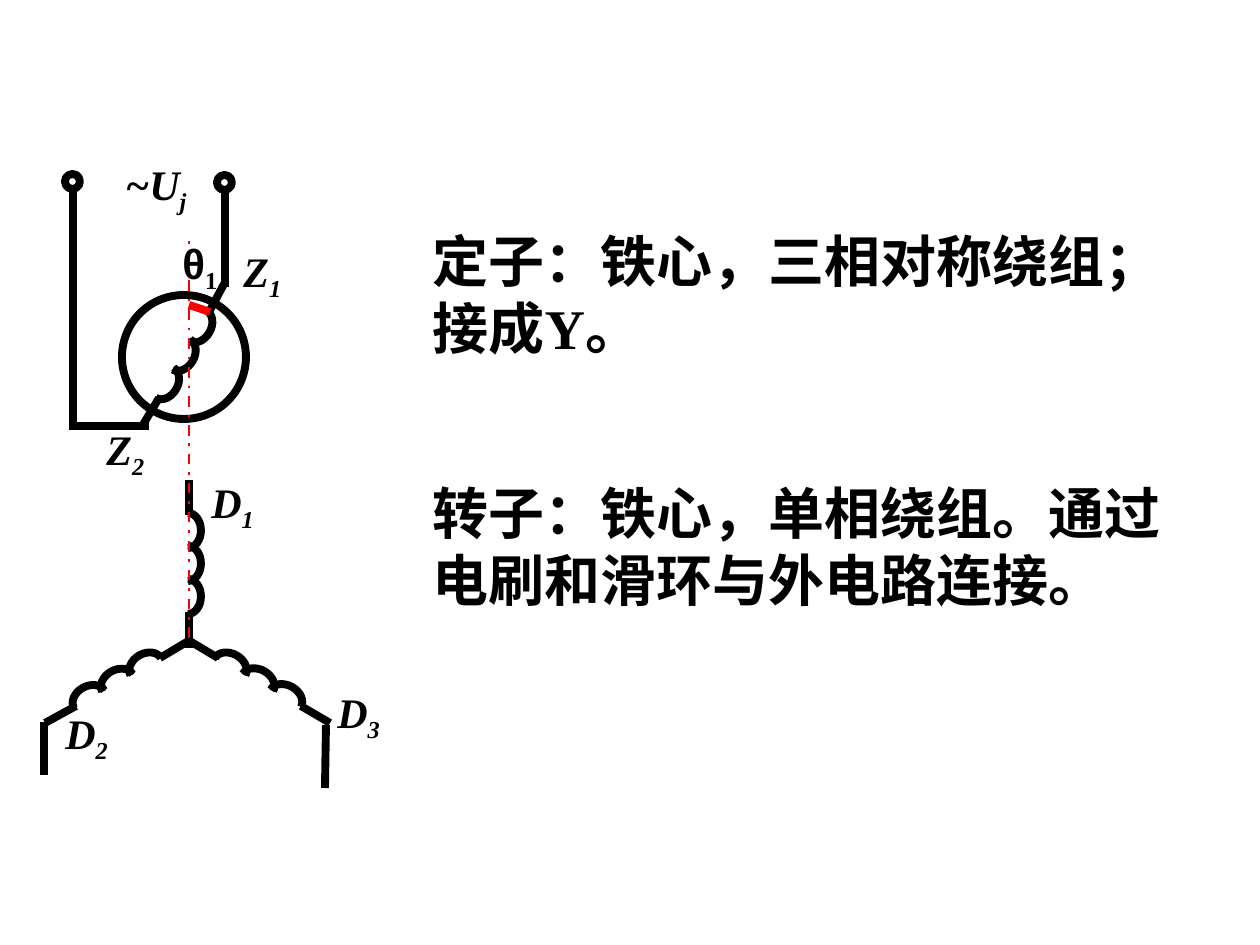
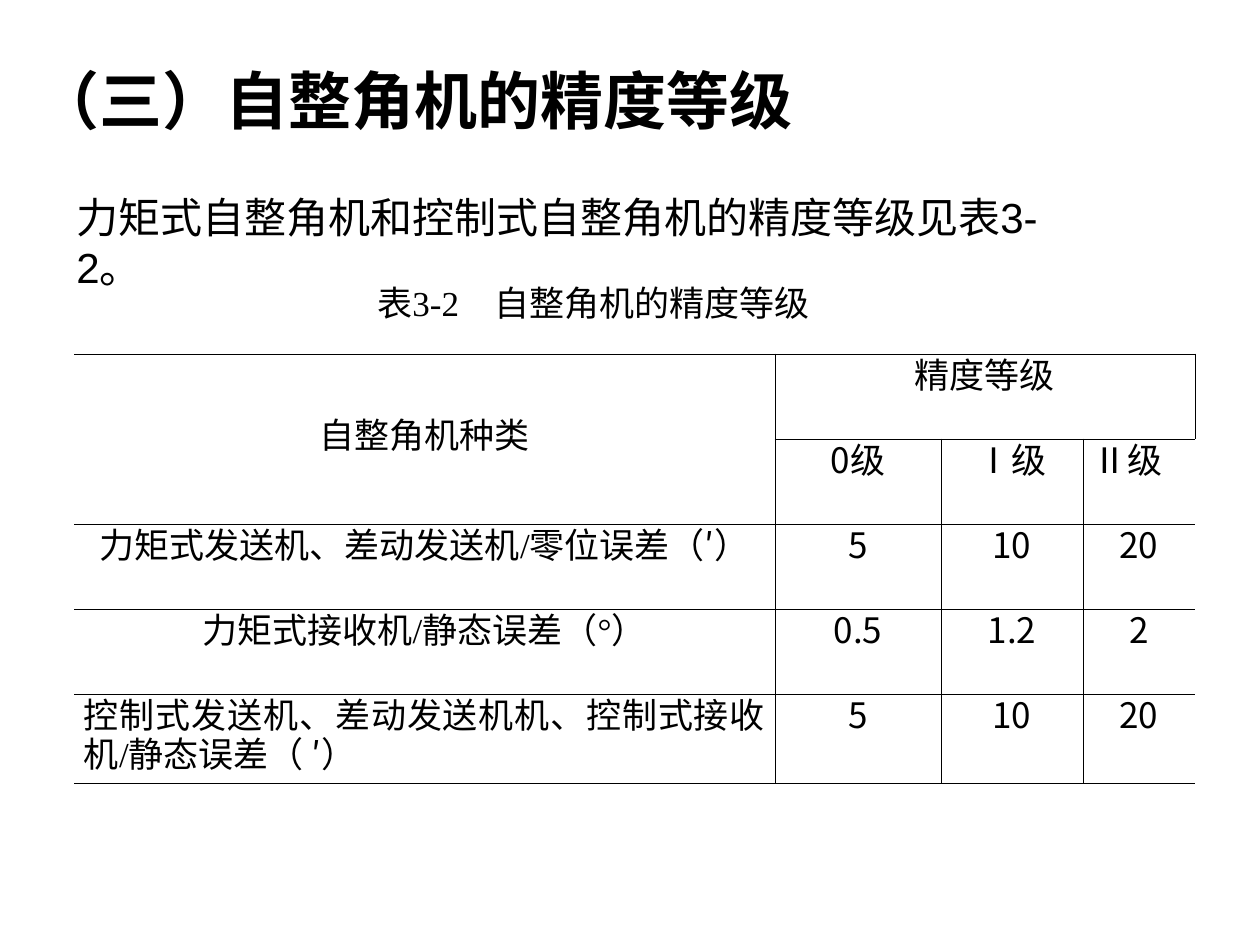
from math import cos, hypot, pi, sin

from lxml import etree
from pptx import Presentation
from pptx.dml.color import RGBColor
from pptx.enum.dml import MSO_LINE
from pptx.enum.shapes import MSO_CONNECTOR, MSO_SHAPE
from pptx.enum.text import MSO_ANCHOR, PP_ALIGN
from pptx.oxml.ns import qn
from pptx.util import Emu, Pt

STRAIGHT, OVAL = MSO_CONNECTOR.STRAIGHT, MSO_SHAPE.OVAL
DASH_DOT = MSO_LINE.DASH_DOT
LEFT, CENTER, JUSTIFY = PP_ALIGN.LEFT, PP_ALIGN.CENTER, PP_ALIGN.JUSTIFY
TOP, MIDDLE = MSO_ANCHOR.TOP, MSO_ANCHOR.MIDDLE

PX_PER_INCH = 126
COLORS = {"ink": "000000", "accent": "FF0000"}
SERIF, SANS, CJK = "Times New Roman", "Arial", "Noto Sans CJK SC"
WIRE_PT, AXIS_PT, RULE_PT = 4.5, 1.5, 0.45

# Windings and wires: x1, y1, x2, y2
COILS = [
    (74, 708, 161, 658),
    (215, 658, 301, 707),
    (188, 513, 188, 614),
    (207, 311, 156, 398),
]
TURNS, TURN_LENGTH, TURN_HEIGHT = 3, 35, 13
WIRES = [
    (45, 723, 76, 706), (160, 658, 190, 640),
    (301, 706, 330, 723), (188, 640, 218, 658),
    (189, 480, 189, 515), (189, 612, 189, 648),
    (326, 725, 325, 788), (44, 722, 44, 775),
    (224, 284, 208, 314), (159, 398, 141, 428),
    (225, 287, 225, 193), (149, 426, 76, 426), (73, 430, 73, 192),
]
AXIS = (189, 638, 189, 239)
ANGLE_MARK = (189, 305, 210, 312)
# Rotor and the two supply terminals: left, top, diameter
RINGS = [(122, 295, 124), (217, 175, 15), (65, 174, 15)]

# Symbol, subscript, left, top
WINDING_LABELS = [
    ("~U", "j", 113, 152),
    ("Z", "1", 231, 239),
    ("Z", "2", 94, 417),
    ("D", "1", 199, 470),
    ("D", "2", 53, 701),
    ("D", "3", 325, 680),
]
PARTS = [
    ("定子：铁心，三相对称绕组；接成Y。", 220),
    ("转子：铁心，单相绕组。通过电刷和滑环与外电路连接。", 472),
]

TITLE = "（三）自整角机的精度等级"
INTRO = "力矩式自整角机和控制式自整角机的精度等级见表3-2。"
CAPTION = "表3-2\t自整角机的精度等级"
CAPTION_TAB = 117
KIND_HEADING, GRADE_HEADING = "自整角机种类", "精度等级"
GRADES = ["0级", "Ⅰ级", "Ⅱ级"]
ERRORS = [
    ("力矩式发送机、差动发送机/零位误差（′）", "5", "10", "20"),
    ("力矩式接收机/静态误差（°）", "0.5", "1.2", "2"),
    ("控制式发送机、差动发送机机、控制式接收机/静态误差（ ′）", "5", "10", "20"),
]
COLUMN_WIDTHS = [701, 166, 142, 112]
ROW_HEIGHT = 85


def px(length):
    return Emu(round(length * 914400 / PX_PER_INCH))


def color(name):
    return RGBColor.from_string(COLORS[name])


def write(frame, text, size, font=SERIF, bold=False, italic=False, sub="",
          sub_font=None, align=LEFT, spacing=None, tab=None):
    """Fill a text frame with one paragraph and an optional subscript."""
    paragraph = frame.paragraphs[0]
    paragraph.alignment = align
    if spacing:
        paragraph.line_spacing = Pt(spacing)
    if tab:
        stops = etree.SubElement(paragraph._p.get_or_add_pPr(), qn("a:tabLst"))
        etree.SubElement(stops, qn("a:tab"), pos=str(px(tab)), algn="l")
    for part, face in ((text, font), (sub, sub_font or font)):
        if not part:
            continue
        run = paragraph.add_run()
        run.text = part
        run.font.size, run.font.name = Pt(size), face
        run.font.bold, run.font.italic = bold, italic
        run.font.color.rgb = color("ink")
        properties = run._r.get_or_add_rPr()
        etree.SubElement(properties, qn("a:ea"), typeface=CJK)
        if part is sub:
            properties.set("baseline", "-25000")


def add_text(slide, text, left, top, width, height, anchor=TOP, **style):
    frame = slide.shapes.add_textbox(px(left), px(top), px(width), px(height)).text_frame
    frame.word_wrap = True
    frame.vertical_anchor = anchor
    write(frame, text, **style)


def stroke(line, name="ink", width=WIRE_PT):
    line.color.rgb = color(name)
    line.width = Pt(width)


def outline(shape):
    shape.shadow.inherit = False
    shape.fill.background()
    stroke(shape.line)


def add_wire(slide, ends, name="ink", width=WIRE_PT):
    wire = slide.shapes.add_connector(STRAIGHT, *map(px, ends))
    stroke(wire.line, name, width)
    etree.SubElement(wire._element.spPr, qn("a:effectLst"))
    return wire


def add_coil(slide, x1, y1, x2, y2):
    """Draw evenly spaced half-ellipse turns, bulging left of the direction of travel."""
    length = hypot(x2 - x1, y2 - y1)
    dx, dy = (x2 - x1) / length, (y2 - y1) / length
    pitch = (length - TURN_LENGTH) / (TURNS - 1)
    steps = 16
    for turn in range(TURNS):
        points = []
        for step in range(steps + 1):
            angle = pi * step / steps
            along = turn * pitch + TURN_LENGTH * (1 - cos(angle)) / 2
            out = TURN_HEIGHT * sin(angle)
            points.append((px(x1 + along * dx + out * dy), px(y1 + along * dy - out * dx)))
        builder = slide.shapes.build_freeform(*points[0])
        builder.add_line_segments(points[1:], close=False)
        outline(builder.convert_to_shape())


def add_winding_slide(deck):
    slide = deck.slides.add_slide(deck.slide_layouts[6])
    for coil in COILS:
        add_coil(slide, *coil)
    for wire in WIRES:
        add_wire(slide, wire)
    for left, top, diameter in RINGS:
        outline(slide.shapes.add_shape(OVAL, px(left), px(top), px(diameter), px(diameter)))
    add_wire(slide, AXIS, "accent", AXIS_PT).line.dash_style = DASH_DOT
    add_wire(slide, ANGLE_MARK, "accent")
    add_text(slide, "θ", 170, 231, 84, 70, size=24, font=SANS, bold=True,
             sub="1", sub_font=SERIF)
    for symbol, index, left, top in WINDING_LABELS:
        add_text(slide, symbol, left, top, 100, 70, size=24, bold=True, italic=True, sub=index)
    for part, top in PARTS:
        add_text(slide, part, 420, top, 790, 147, size=32, bold=True)


def rule_cell(cell, has_left, has_right):
    properties = cell._tc.get_or_add_tcPr()
    for side, shown in (("L", has_left), ("R", has_right), ("T", True), ("B", True)):
        border = etree.SubElement(properties, qn("a:ln" + side), w=str(Pt(RULE_PT)))
        if shown:
            fill = etree.SubElement(border, qn("a:solidFill"))
            etree.SubElement(fill, qn("a:srgbClr"), val=COLORS["ink"])
        else:
            etree.SubElement(border, qn("a:noFill"))
    cell.fill.background()


def add_accuracy_table(slide):
    rows = [(KIND_HEADING, GRADE_HEADING, "", ""), ("", *GRADES), *ERRORS]
    last = len(COLUMN_WIDTHS) - 1
    table = slide.shapes.add_table(
        len(rows), len(COLUMN_WIDTHS), px(74), px(354),
        px(sum(COLUMN_WIDTHS)), px(ROW_HEIGHT * len(rows))).table
    table.first_row = table.horz_banding = False
    for column, width in zip(table.columns, COLUMN_WIDTHS):
        column.width = px(width)
    for r, row in enumerate(rows):
        table.rows[r].height = px(ROW_HEIGHT)
        for c, value in enumerate(row):
            cell = table.cell(r, c)
            rule_cell(cell, c > 0, c < last)
            cell.margin_left = cell.margin_right = px(10)
            if value:
                justified = value in (GRADES[-1], ERRORS[-1][0])
                write(cell.text_frame, value, 20, font=CJK if r and c else SERIF,
                      align=JUSTIFY if justified else CENTER, spacing=22)
    kind = table.cell(0, 0)
    kind.merge(table.cell(1, 0))
    kind.vertical_anchor = MIDDLE
    table.cell(0, 1).merge(table.cell(0, last))


def add_accuracy_slide(deck):
    slide = deck.slides.add_slide(deck.slide_layouts[6])
    add_text(slide, TITLE, 24, 55, 800, 88, anchor=MIDDLE, size=36, font=CJK, bold=True)
    add_text(slide, INTRO, 64, 185, 1022, 63, size=24, font=SANS)
    add_accuracy_table(slide)
    add_text(slide, CAPTION, 365, 275, 490, 55, anchor=MIDDLE, size=20, tab=CAPTION_TAB)


def main():
    deck = Presentation()
    deck.slide_width, deck.slide_height = px(1260), px(945)
    add_winding_slide(deck)
    add_accuracy_slide(deck)
    deck.save("out.pptx")


if __name__ == "__main__":
    main()
